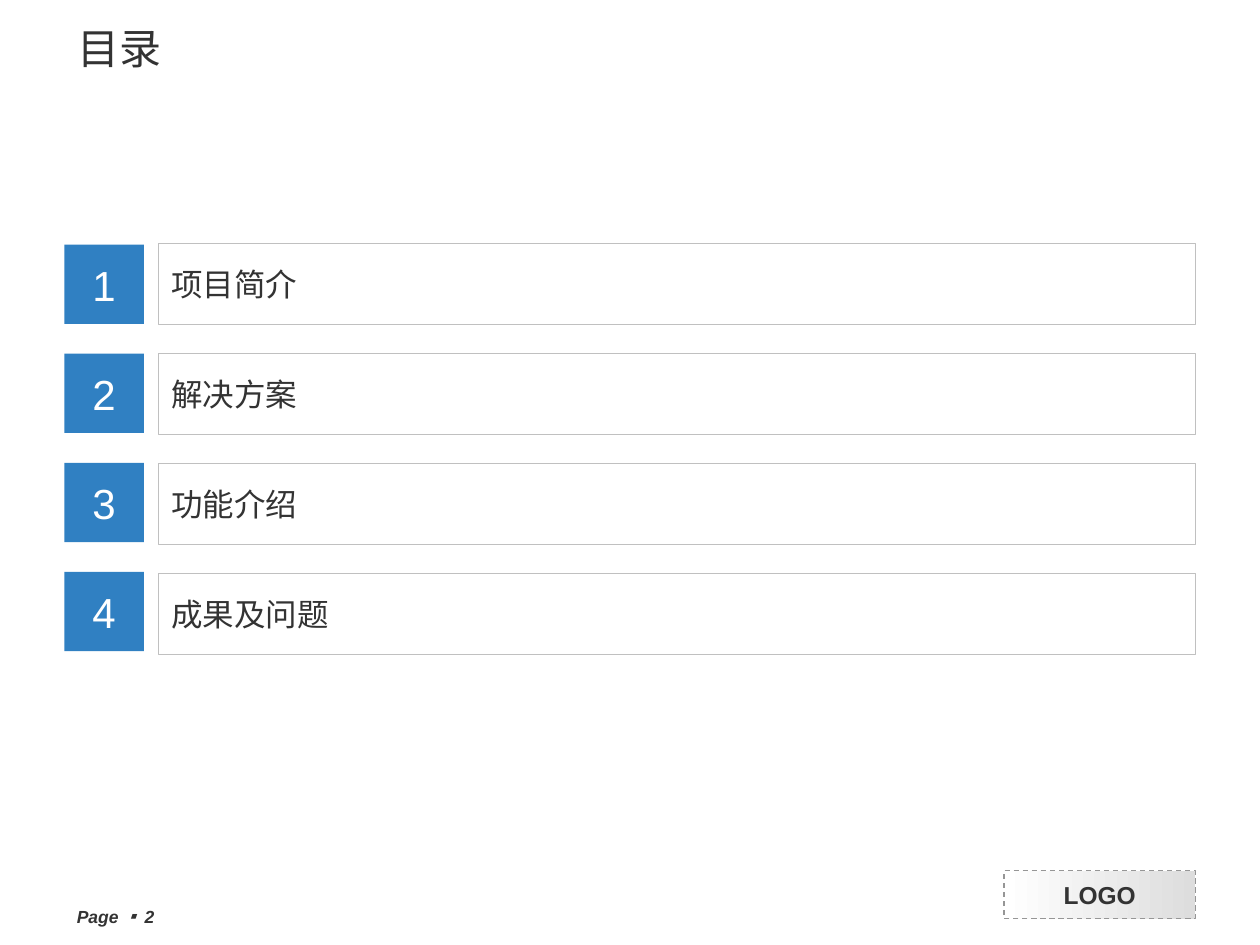
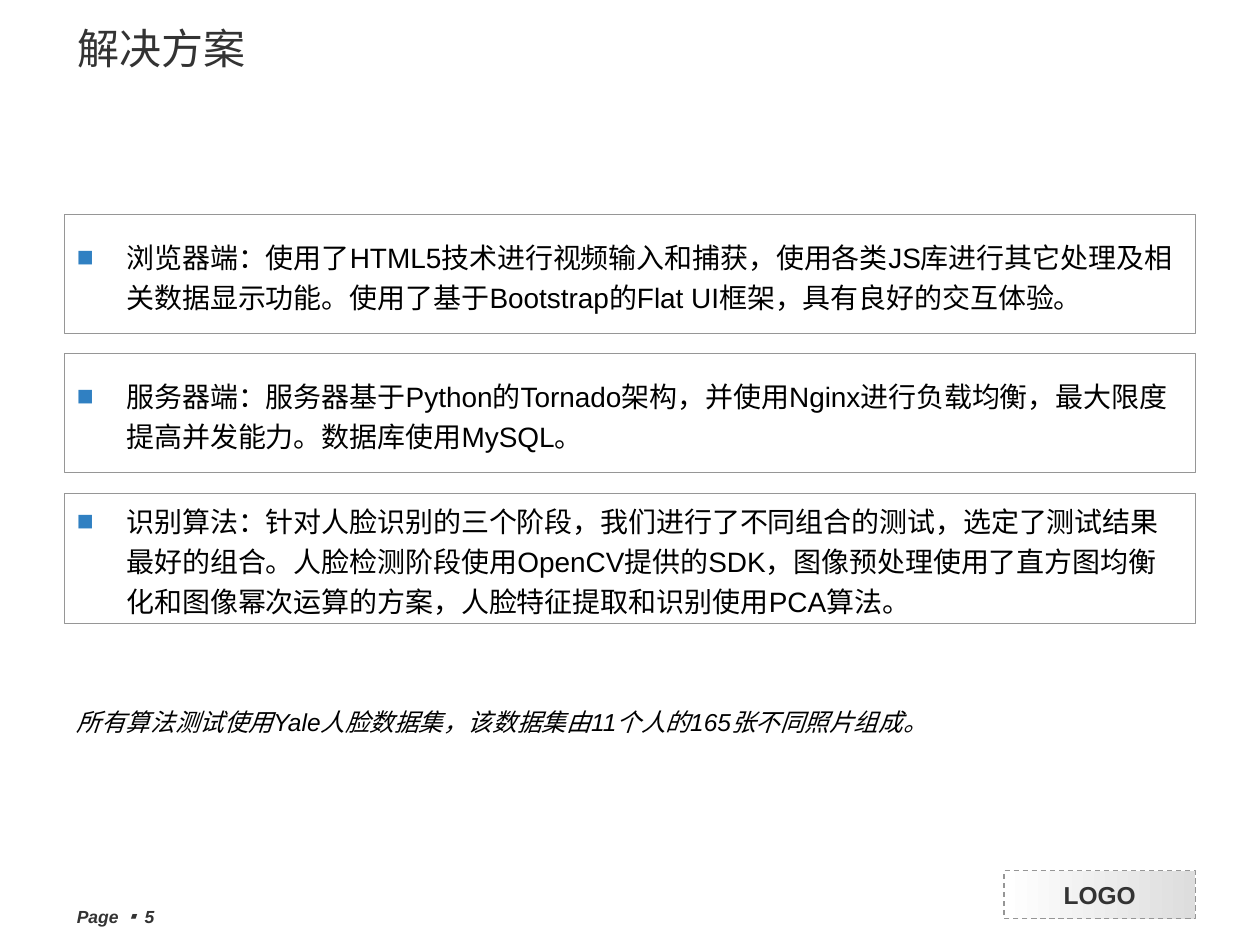
from lxml import etree
from pptx import Presentation
from pptx import util as u
from pptx.dml.color import RGBColor
from pptx.enum import dml, shapes, text
from pptx.oxml.ns import qn

Cm, Pt = u.Cm, u.Pt
C = {"ink": "333333", "body": "000000", "white": "FFFFFF", "blue": "3080C2",
     "row_line": "C0C0C0", "box_line": "969696", "plate": "DDDDDD"}
LEFT, RIGHT = 1.3, 24.1  # content margins in cm
CENTER = text.PP_ALIGN.CENTER
MIDDLE = {"vertical_anchor": text.MSO_ANCHOR.MIDDLE, "word_wrap": True}
MIDDLE_FREE = {**MIDDLE, "word_wrap": False}
TOP = {"vertical_anchor": text.MSO_ANCHOR.TOP, "word_wrap": True}


def write(sp, frame, runs, size, color, align=text.PP_ALIGN.LEFT, **style):
    """Fill a shape with one paragraph of (words, font) runs."""
    tf = sp.text_frame
    for key, value in {**frame, "auto_size": text.MSO_AUTO_SIZE.NONE}.items():
        setattr(tf, key, value)
    p = tf.paragraphs[0]
    p.alignment = align
    for words, font in runs:
        r = p.add_run()
        r.text = words
        for key, value in {"name": font, "size": Pt(size), **style}.items():
            setattr(r.font, key, value)
        r.font.color.rgb = RGBColor.from_string(C[color])
    return p


def add_box(s, kind, left, top, width, height, fill=None, line=None, weight=0.25):
    """Add a flat preset shape; lengths in cm."""
    sp = s.shapes.add_shape(kind, Cm(left), Cm(top), Cm(width), Cm(height))
    sp.shadow.inherit = False
    if kind == shapes.MSO_SHAPE.ROUNDED_RECTANGLE:
        sp.adjustments[0] = 0
    if fill:
        sp.fill.solid()
        sp.fill.fore_color.rgb = RGBColor.from_string(C[fill])
    else:
        sp.fill.background()
    if line:
        sp.line.color.rgb = RGBColor.from_string(C[line])
        sp.line.width = Pt(weight)
    else:
        sp.line.fill.background()
    return sp


RECT, ROUND = shapes.MSO_SHAPE.RECTANGLE, shapes.MSO_SHAPE.ROUNDED_RECTANGLE
prs = Presentation()
prs.slide_width, prs.slide_height = Cm(25.4), Cm(19.05)

# Shared frame: title, logo plate, page number
slides = []
for title, page in [("目录", "2"), ("解决方案", "5")]:
    s = prs.slides.add_slide(prs.slide_layouts[5])
    slides.append(s)

    plate = add_box(s, RECT, 20.24, 17.55, 3.86, 0.97, line="box_line", weight=0.75)
    plate.line.dash_style = dml.MSO_LINE.DASH
    plate.fill.gradient()
    plate.fill.gradient_angle = 0
    for stop, name in zip(plate.fill.gradient_stops, ("white", "plate")):
        stop.color.rgb = RGBColor.from_string(C[name])
    write(plate, MIDDLE_FREE, [("LOGO", "Arial")], 14, "ink", CENTER, bold=True)

    sp = s.shapes.add_textbox(Cm(LEFT), Cm(18.14), Cm(4), Cm(0.56))
    write(sp, TOP, [("Page ", "Arial"), ("▪ ", "Noto Sans CJK JP"), (page, "Arial")],
          10, "ink", bold=True, italic=True)

    sp = s.shapes.title
    sp.left, sp.top, sp.width, sp.height = Cm(LEFT), Cm(0), Cm(16.2), Cm(1.93)
    write(sp, MIDDLE, [(title, "Arial")], 24, "ink")

# Contents: numbered rows
contents, solution = slides
for i, topic in enumerate(["项目简介", "解决方案", "功能介绍", "成果及问题"]):
    row = add_box(contents, ROUND, 3.2, 4.9 + 2.22 * i, RIGHT - 3.2, 1.63, line="row_line")
    write(row, MIDDLE, [(topic, "Noto Sans CJK SC")], 18, "ink")
    number = add_box(contents, RECT, LEFT, 4.93 + 2.2 * i, 1.6, 1.6, fill="blue")
    write(number, MIDDLE_FREE, [(str(i + 1), "Arial")], 24, "white", CENTER)

# Solution: stacked bullet boxes with equal gaps
parts = [
    (2.4, "浏览器端：使用了HTML5技术进行视频输入和捕获，使用各类JS库进行其它处理及相关数据显示功能。"
          "使用了基于Bootstrap的Flat UI框架，具有良好的交互体验。"),
    (2.4, "服务器端：服务器基于Python的Tornado架构，并使用Nginx进行负载均衡，最大限度提高并发能力。"
          "数据库使用MySQL。"),
    (2.62, "识别算法：针对人脸识别的三个阶段，我们进行了不同组合的测试，选定了测试结果最好的组合。"
           "人脸检测阶段使用OpenCV提供的SDK，图像预处理使用了直方图均衡化和图像幂次运算的方案，"
           "人脸特征提取和识别使用PCA算法。"),
]
top = 4.32
for height, words in parts:
    sp = add_box(solution, ROUND, LEFT, top, RIGHT - LEFT, height, line="box_line")
    p = write(sp, MIDDLE, [(words, "Arial")], 16, "body")
    pPr = p._p.get_or_add_pPr()
    pPr.set("marL", str(Cm(1)))
    pPr.set("indent", str(-Cm(1)))
    color = etree.SubElement(pPr, qn("a:buClr"))
    etree.SubElement(color, qn("a:srgbClr"), val=C["blue"])
    etree.SubElement(pPr, qn("a:buFont"), typeface="Arial")
    etree.SubElement(pPr, qn("a:buChar"), char="■")
    p.line_spacing = 1.2
    top += height + 0.41

# Solution: data set note
sp = solution.shapes.add_textbox(Cm(LEFT), Cm(14.02), Cm(RIGHT - LEFT), Cm(0.97))
p = write(sp, TOP, [("所有算法测试使用Yale人脸数据集，该数据集由11个人的165张不同照片组成。", "Arial")],
          14, "body", italic=True)
p.line_spacing = 1.2

prs.save("out.pptx")
